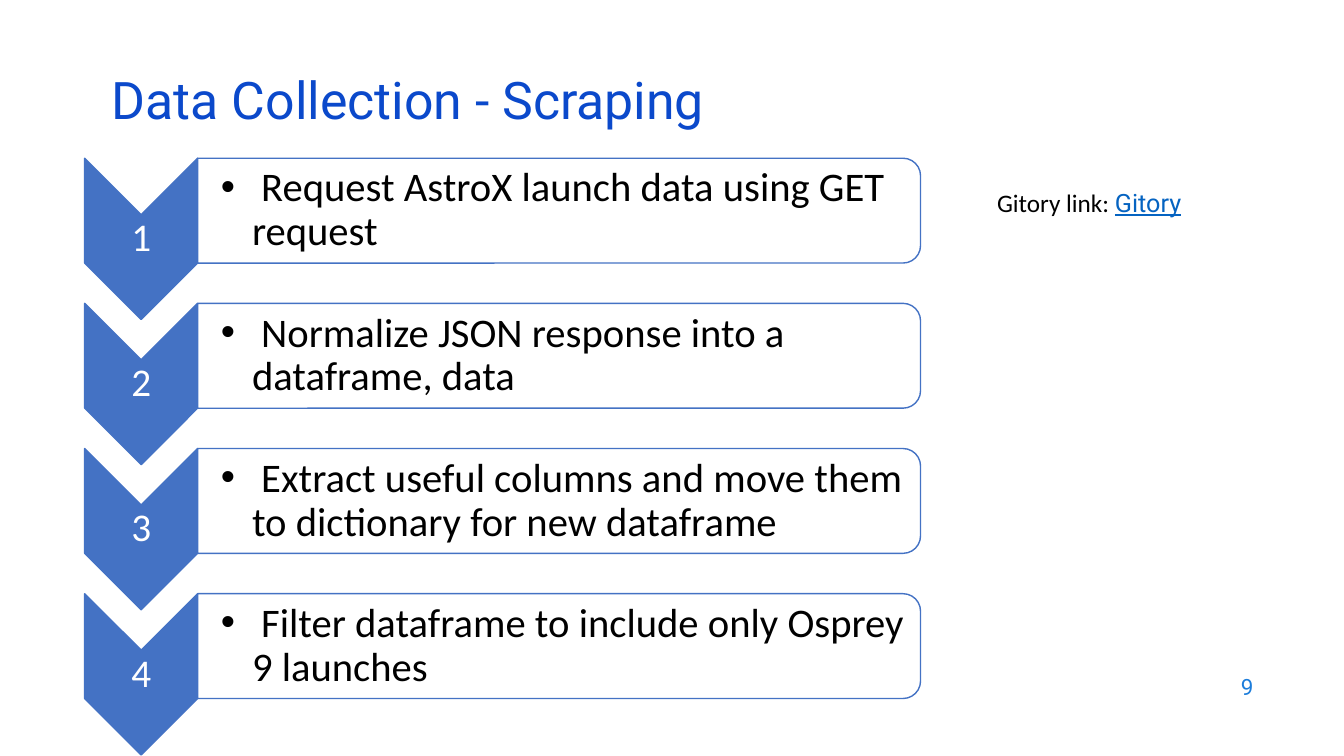
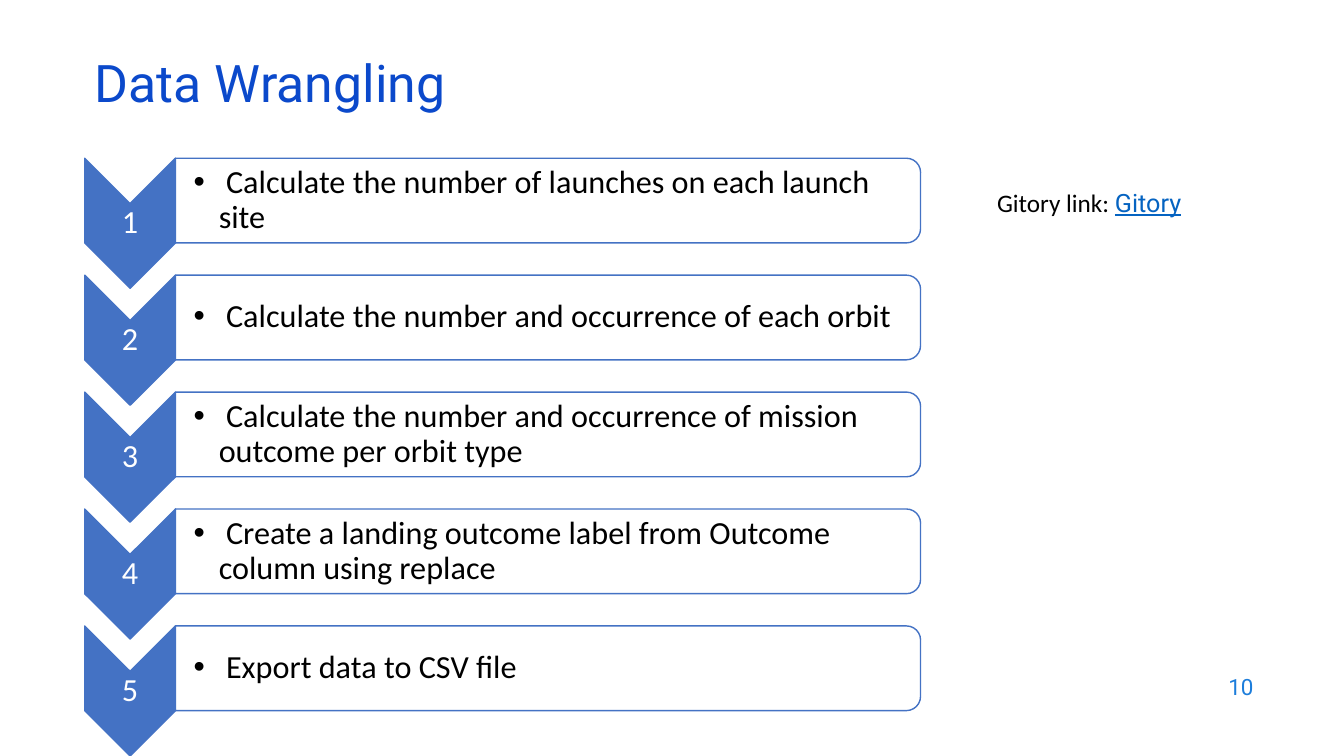
from lxml import etree
from pptx import Presentation
from pptx.dml.color import RGBColor
from pptx.enum.shapes import MSO_SHAPE
from pptx.enum.text import MSO_ANCHOR, MSO_AUTO_SIZE, PP_ALIGN
from pptx.oxml.ns import qn
from pptx.util import Inches, Pt

BLUE = RGBColor(0x44, 0x72, 0xC4)
TITLE = RGBColor(0x0B, 0x49, 0xCB)
PAGE = RGBColor(0x1C, 0x7D, 0xDB)
LINK = RGBColor(0x05, 0x63, 0xC1)
BLACK = RGBColor(0, 0, 0)
WHITE = RGBColor(255, 255, 255)
BODY, HEAD = "Calibri", "Roboto"

LEFT, TOP, RIGHT = 0.84, 1.57, 9.13
PAD = 0.02


def style(run, size, color, name=BODY):
    font = run.font
    font.size, font.name = Pt(size), name
    font.color.rgb = color


def add_text(slide, box, text, size, color, name=BODY, align=PP_ALIGN.LEFT):
    """Add a wrapped, vertically centred text box and return its frame."""
    frame = slide.shapes.add_textbox(*map(Inches, box)).text_frame
    frame.word_wrap = True
    frame.vertical_anchor = MSO_ANCHOR.MIDDLE
    line = frame.paragraphs[0]
    line.text = text
    line.alignment = align
    style(line.runs[0], size, color, name)
    return frame


def set_pads(frame, left=PAD):
    frame.margin_left = Inches(left)
    frame.margin_top = frame.margin_right = frame.margin_bottom = Inches(PAD)
    frame.paragraphs[0].line_spacing = 0.9


def add_bullet(line, indent):
    props = line._p.get_or_add_pPr()
    props.set("marL", str(Inches(indent)))
    props.set("indent", str(-Inches(indent)))
    etree.SubElement(props, qn("a:buFont")).set("typeface", "Arial")
    etree.SubElement(props, qn("a:buChar")).set("char", "•")


def add_turned(slide, kind, left, top, width, height, fill):
    """Add a shape turned by 90 degrees that covers the given box as seen."""
    shift = (width - height) / 2
    box = left + shift, top - shift, height, width
    shape = slide.shapes.add_shape(kind, *map(Inches, box))
    shape.rotation = 90
    shape.shadow.inherit = False
    shape.fill.solid()
    shape.fill.fore_color.rgb = fill
    shape.line.color.rgb = BLUE
    shape.line.width = Pt(1)


def add_step(slide, num, text, top, look):
    wide, tall, bar = look["wide"], look["tall"], look["bar"]
    start = LEFT + wide
    add_turned(slide, MSO_SHAPE.CHEVRON, LEFT, top, wide, tall, BLUE)
    label = add_text(slide, (LEFT, top + wide / 2, wide, tall - wide),
                     str(num), look["num"], WHITE, align=PP_ALIGN.CENTER)
    set_pads(label)
    add_turned(slide, MSO_SHAPE.ROUND_2_SAME_RECTANGLE,
               start, top, RIGHT - start, bar, WHITE)
    frame = add_text(slide, (start, top + 0.05, RIGHT - 0.05 - start, bar - 0.1),
                     text, look["size"], BLACK)
    set_pads(frame, look["pad"])
    add_bullet(frame.paragraphs[0], look["indent"])


def add_title(slide, text, left, top):
    title = slide.shapes.title
    title.left, title.top = Inches(left), Inches(top)
    title.width, title.height = Inches(11.5), Inches(0.6)
    frame = title.text_frame
    frame.text = text
    frame.auto_size = MSO_AUTO_SIZE.NONE
    frame.vertical_anchor = MSO_ANCHOR.MIDDLE
    line = frame.paragraphs[0]
    line.alignment = PP_ALIGN.LEFT
    line.line_spacing = 0.7
    style(line.runs[0], 37, TITLE, HEAD)


def add_link(slide):
    frame = add_text(slide, (9.79, 1.81, 2.22, 0.71), "Gitory link: ", 18, BLACK)
    frame.word_wrap = False
    frame.vertical_anchor = MSO_ANCHOR.TOP
    run = frame.paragraphs[0].add_run()
    run.text = "Gitory"
    style(run, 18, LINK, HEAD)
    run.font.underline = True


def add_page(deck, page, title, spot, steps, look):
    slide = deck.slides.add_slide(deck.slide_layouts[5])
    add_title(slide, title, *spot)
    add_text(slide, (9.53, 6.59, 3, 0.44), str(page), 16, PAGE, HEAD,
             PP_ALIGN.RIGHT)
    for i, text in enumerate(steps):
        add_step(slide, i + 1, text, TOP + i * look["pitch"], look)
    add_link(slide)


def main():
    deck = Presentation()
    deck.slide_width, deck.slide_height = Inches(13.33), Inches(7.5)
    large = dict(wide=1.12, tall=1.6, bar=1.04, pitch=1.44,
                 num=28, size=29, pad=0.23, indent=0.31)
    small = dict(wide=0.9, tall=1.29, bar=0.84, pitch=1.16,
                 num=23, size=23, pad=0.18, indent=0.25)
    add_page(deck, 9, "Data Collection - Scraping", (1.01, 0.76), [
        " Request AstroX launch data using GET request",
        " Normalize JSON response into a dataframe, data",
        " Extract useful columns and move them to dictionary for new dataframe",
        " Filter dataframe to include only Osprey 9 launches",
    ], large)
    add_page(deck, 10, "Data Wrangling", (0.84, 0.59), [
        " Calculate the number of launches on each launch site",
        " Calculate the number and occurrence of each orbit",
        " Calculate the number and occurrence of mission outcome per orbit type",
        " Create a landing outcome label from Outcome column using replace",
        " Export data to CSV file",
    ], small)
    deck.save("out.pptx")


if __name__ == "__main__":
    main()
